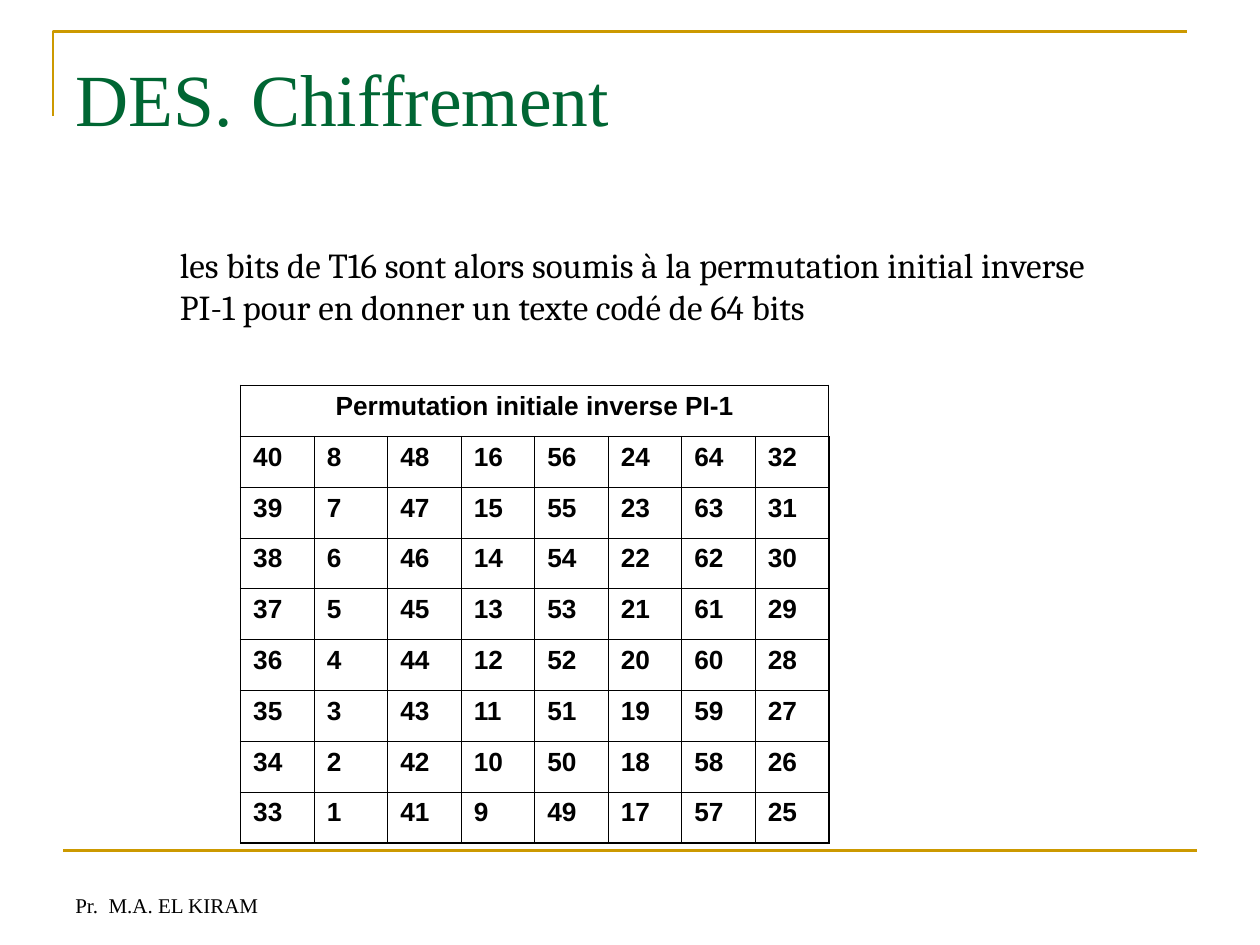
from lxml.etree import SubElement
from pptx import Presentation
from pptx.dml.color import RGBColor
from pptx.enum.shapes import MSO_CONNECTOR
from pptx.enum.text import MSO_ANCHOR, PP_ALIGN
from pptx.oxml.ns import qn
from pptx.util import Inches, Pt

GOLD, GREEN, BLACK = "CC9900", "006633", "000000"
GRID_SIZE = 8
FIRST_ROW = [40, 8, 48, 16, 56, 24, 64, 32]
OUTER, INNER = 1.08, 0.45


def color(hex_code):
    return RGBColor.from_string(hex_code)


def style_line(line):
    line.color.rgb = color(GOLD)
    line.width = Pt(1.5)


def write(frame, text, size, font, hex_code, bold=False, align=PP_ALIGN.LEFT):
    frame.text = text
    paragraph = frame.paragraphs[0]
    paragraph.alignment = align
    paragraph.font.size = Pt(size)
    paragraph.font.name = font
    paragraph.font.bold = bold
    paragraph.font.color.rgb = color(hex_code)


def add_corner(slide):
    """Open gold frame around the top left of the title."""
    left, top = Inches(0.42), Inches(0.25)
    builder = slide.shapes.build_freeform(left, Inches(0.92))
    builder.add_line_segments([(left, top), (Inches(9.42), top)], close=False)
    corner = builder.convert_to_shape()
    corner.shadow.inherit = False
    corner.fill.background()
    style_line(corner.line)


def add_footer_rule(slide):
    y = Inches(6.75)
    rule = slide.shapes.add_connector(
        MSO_CONNECTOR.STRAIGHT, Inches(0.5), y, Inches(9.5), y)
    style_line(rule.line)
    SubElement(rule._element.spPr, qn("a:effectLst"))


def set_title(slide, text):
    title = slide.shapes.title
    title.left, title.top = Inches(0.5), Inches(0.3)
    title.width, title.height = Inches(9), Inches(1.25)
    frame = title.text_frame
    frame.vertical_anchor = MSO_ANCHOR.TOP
    frame.margin_top = Inches(0.12)
    write(frame, text, 42, "Times New Roman", GREEN)


def add_text(slide, text, box, size, font, anchor=MSO_ANCHOR.TOP):
    frame = slide.shapes.add_textbox(*map(Inches, box)).text_frame
    frame.word_wrap = True
    frame.vertical_anchor = anchor
    write(frame, text, size, font, BLACK)


def set_border(cell, side, width):
    line = SubElement(cell._tc.get_or_add_tcPr(), qn(f"a:ln{side}"), w=str(Pt(width)))
    fill = SubElement(line, qn("a:solidFill"))
    SubElement(fill, qn("a:srgbClr"), val=BLACK)


def format_cell(cell, row, column):
    """Thin grid lines, with a thicker line on the table's outer edge."""
    on_edge = {"L": column == 0, "R": column == GRID_SIZE - 1,
               "T": row == 0, "B": row == GRID_SIZE}
    for side, outer in on_edge.items():
        set_border(cell, side, OUTER if outer else INNER)
    cell.fill.background()


def add_permutation_table(slide, heading):
    box = map(Inches, (1.91, 3.06, 4.67, 3.63))
    table = slide.shapes.add_table(GRID_SIZE + 1, GRID_SIZE, *box).table
    table.first_row = table.horz_banding = False
    for row in range(GRID_SIZE + 1):
        for column, start in enumerate(FIRST_ROW):
            cell = table.cell(row, column)
            format_cell(cell, row, column)
            if row > 0:
                # Each row is the previous one minus 1.
                write(cell.text_frame, str(start - row + 1), 15, "Arial", BLACK, bold=True)
    header = table.cell(0, 0)
    header.merge(table.cell(0, GRID_SIZE - 1))
    write(header.text_frame, heading, 15, "Arial", BLACK, bold=True, align=PP_ALIGN.CENTER)


def main():
    presentation = Presentation()
    presentation.slide_width, presentation.slide_height = Inches(10), Inches(7.5)
    slide = presentation.slides.add_slide(presentation.slide_layouts[5])
    add_corner(slide)
    add_footer_rule(slide)
    add_text(slide, "Pr.  M.A. EL KIRAM", (0.5, 6.83, 2.33, 0.5), 12,
             "Times New Roman", MSO_ANCHOR.BOTTOM)
    set_title(slide, "DES. Chiffrement")
    add_text(slide, "les bits de T16 sont alors soumis à la permutation initial inverse "
             "PI-1 pour en donner un texte codé de 64 bits",
             (1.33, 1.88, 7.48, 1.1), 20, "Cambria")
    add_permutation_table(slide, "Permutation initiale inverse PI-1")
    presentation.save("out.pptx")


if __name__ == "__main__":
    main()
